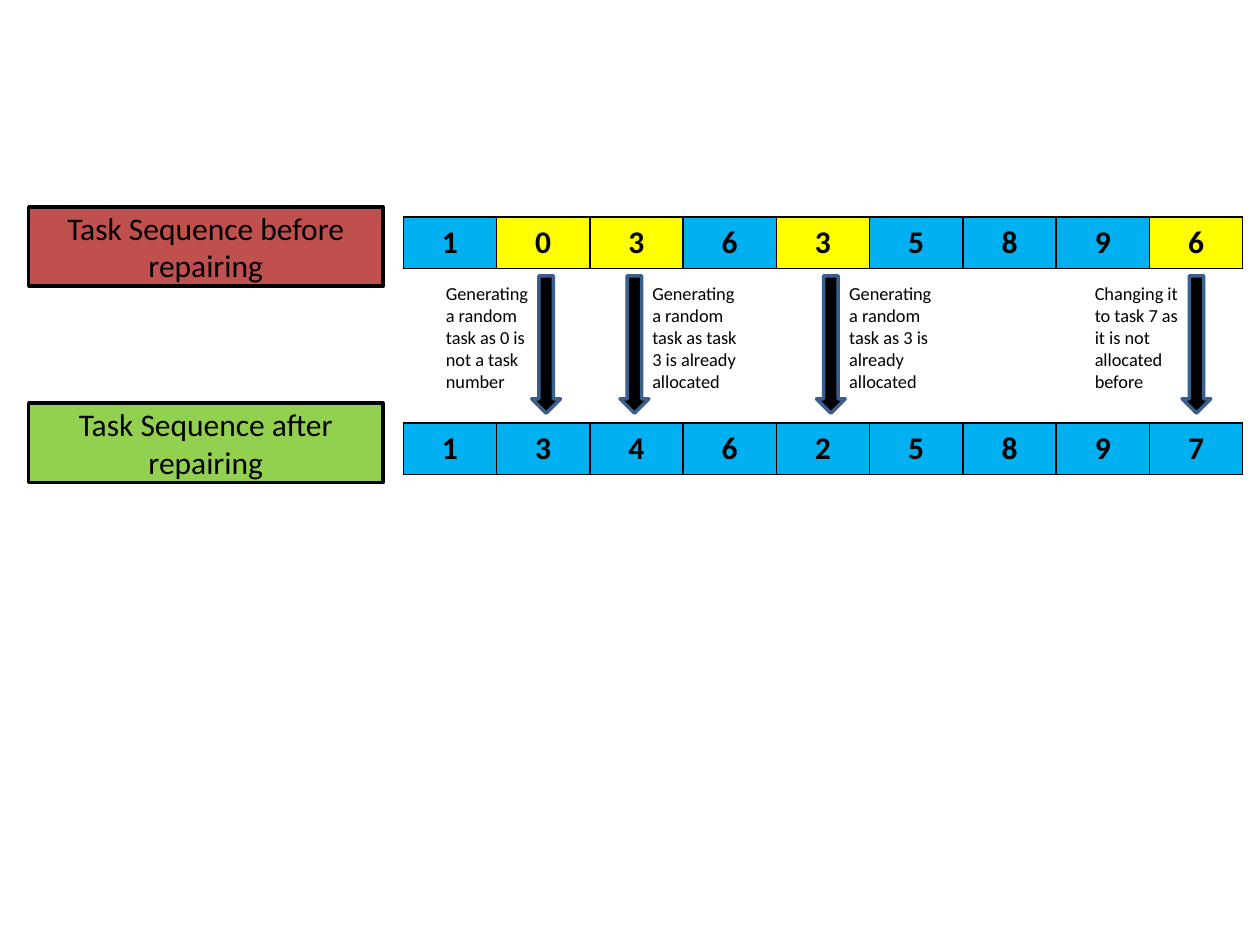
from dataclasses import dataclass

from lxml.etree import SubElement
from pptx import Presentation
from pptx.dml.color import RGBColor
from pptx.enum.shapes import MSO_SHAPE
from pptx.enum.text import MSO_ANCHOR, MSO_AUTO_SIZE, PP_ALIGN
from pptx.oxml.ns import qn
from pptx.util import Cm, Pt

COLORS = {
    "black": "000000",
    "red": "C0504D",
    "green": "92D050",
    "blue": "00B0F0",
    "yellow": "FFFF00",
    "arrow_line": "3A5F8C",
}
FONT = "Calibri"
LABEL_LEFT, LABEL_WIDTH, LABEL_HEIGHT = 0.58, 7.14, 1.6
TABLE_LEFT, CELL_WIDTH, CELL_HEIGHT = 8.13, 1.88, 1.04
REPAIR_TOP = 5.56
ARROW_WIDTH, ARROW_HEIGHT = 0.58, 2.77
NOTE_WIDTH, NOTE_HEIGHT = 2.39, 2.49


@dataclass(frozen=True)
class Sequence:
    label: str
    label_color: str
    label_top: float
    table_top: float
    tasks: str
    invalid_positions: tuple[int, ...] = ()


@dataclass(frozen=True)
class Repair:
    arrow_left: float
    note_left: float
    note: str


SEQUENCES = [
    Sequence("Task Sequence before repairing", "red", 4.17, 4.37, "103635896", (1, 2, 4, 8)),
    Sequence("Task Sequence after repairing", "green", 8.13, 8.53, "134625897"),
]
REPAIRS = [
    Repair(10.72, 8.74, "Generating a random task as 0 is not a task number"),
    Repair(12.5, 12.9, "Generating a random task as task 3 is already allocated"),
    Repair(16.46, 16.87, "Generating a random task as 3 is already allocated"),
    Repair(23.83, 21.82, "Changing it to task 7 as it is not allocated before"),
]


def rgb(name: str) -> RGBColor:
    return RGBColor.from_string(COLORS[name])


def write_text(text_frame, text: str, size: float, alignment, bold: bool = False) -> None:
    text_frame.text = text
    paragraph = text_frame.paragraphs[0]
    paragraph.alignment = alignment
    font = paragraph.runs[0].font
    font.name = FONT
    font.size = Pt(size)
    font.bold = bold
    font.color.rgb = rgb("black")


def add_box(slide, kind, left: float, top: float, width: float, height: float,
            fill: str, line: str):
    shape = slide.shapes.add_shape(kind, Cm(left), Cm(top), Cm(width), Cm(height))
    shape.shadow.inherit = False
    shape.fill.solid()
    shape.fill.fore_color.rgb = rgb(fill)
    shape.line.color.rgb = rgb(line)
    shape.line.width = Pt(2)
    return shape


def add_borders(cell) -> None:
    properties = cell._tc.get_or_add_tcPr()
    for side in ("a:lnL", "a:lnR", "a:lnT", "a:lnB"):
        border = SubElement(properties, qn(side), w=str(Pt(1)))
        fill = SubElement(border, qn("a:solidFill"))
        SubElement(fill, qn("a:srgbClr"), val=COLORS["black"])


def add_sequence(slide, sequence: Sequence) -> None:
    label = add_box(slide, MSO_SHAPE.RECTANGLE, LABEL_LEFT, sequence.label_top,
                    LABEL_WIDTH, LABEL_HEIGHT, sequence.label_color, "black")
    label.text_frame.word_wrap = True
    label.text_frame.vertical_anchor = MSO_ANCHOR.MIDDLE
    write_text(label.text_frame, sequence.label, 18, PP_ALIGN.CENTER)

    count = len(sequence.tasks)
    table = slide.shapes.add_table(1, count, Cm(TABLE_LEFT), Cm(sequence.table_top),
                                   Cm(CELL_WIDTH * count), Cm(CELL_HEIGHT)).table
    table.first_row = False
    table.horz_banding = False
    for position, task in enumerate(sequence.tasks):
        table.columns[position].width = Cm(CELL_WIDTH)
        cell = table.cell(0, position)
        add_borders(cell)
        cell.fill.solid()
        invalid = position in sequence.invalid_positions
        cell.fill.fore_color.rgb = rgb("yellow" if invalid else "blue")
        write_text(cell.text_frame, task, 18, PP_ALIGN.CENTER, bold=True)


def add_arrow(slide, repair: Repair) -> None:
    add_box(slide, MSO_SHAPE.DOWN_ARROW, repair.arrow_left, REPAIR_TOP,
            ARROW_WIDTH, ARROW_HEIGHT, "black", "arrow_line")


def add_note(slide, repair: Repair) -> None:
    note = slide.shapes.add_textbox(Cm(repair.note_left), Cm(REPAIR_TOP),
                                    Cm(NOTE_WIDTH), Cm(NOTE_HEIGHT))
    note.text_frame.word_wrap = True
    note.text_frame.auto_size = MSO_AUTO_SIZE.SHAPE_TO_FIT_TEXT
    write_text(note.text_frame, repair.note, 10.5, PP_ALIGN.LEFT)


def main() -> None:
    presentation = Presentation()
    presentation.slide_width = Cm(25.4)
    presentation.slide_height = Cm(19.05)
    slide = presentation.slides.add_slide(presentation.slide_layouts[6])
    for sequence in SEQUENCES:
        add_sequence(slide, sequence)
    for repair in REPAIRS:
        add_arrow(slide, repair)
    for repair in REPAIRS:
        add_note(slide, repair)
    presentation.save("out.pptx")


main()
